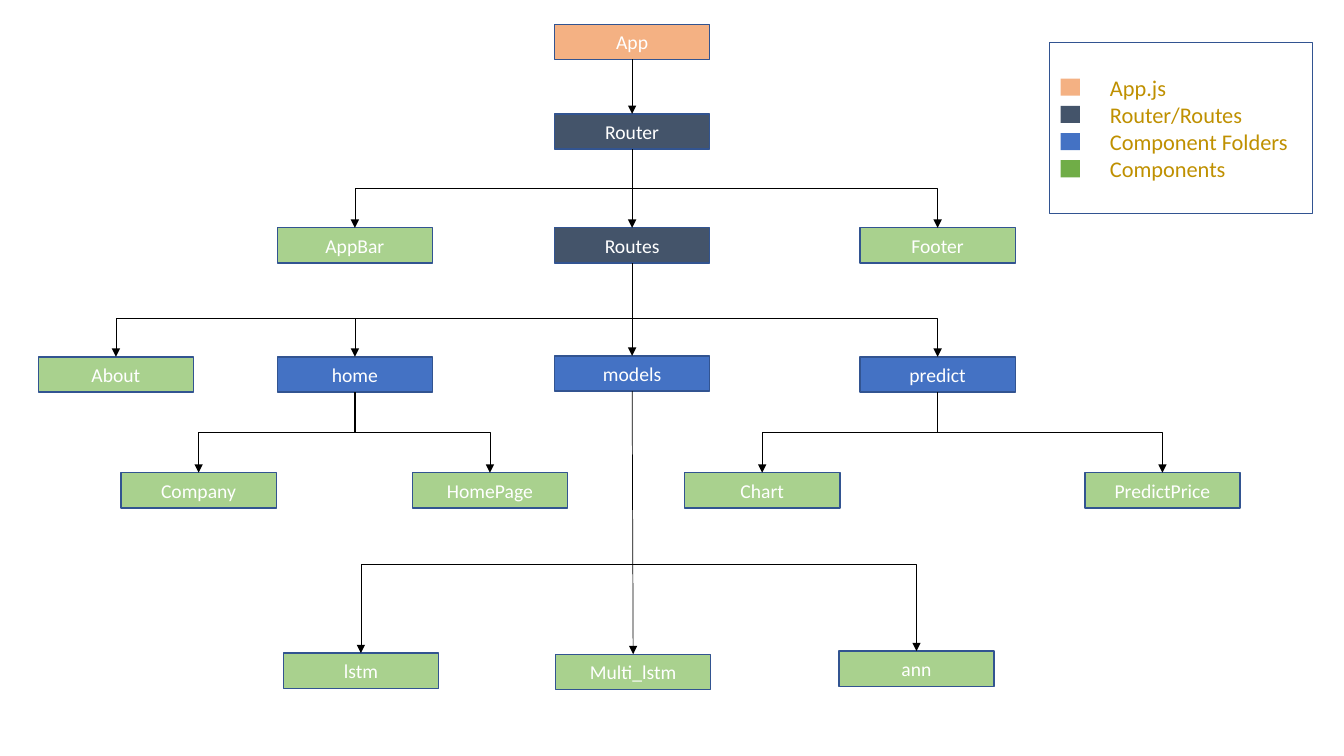
from lxml import etree
from pptx import Presentation
from pptx.dml.color import RGBColor
from pptx.enum.shapes import MSO_CONNECTOR, MSO_SHAPE
from pptx.enum.text import MSO_ANCHOR, PP_ALIGN
from pptx.oxml.ns import qn
from pptx.util import Inches, Pt

RECTANGLE = MSO_SHAPE.RECTANGLE
STRAIGHT = MSO_CONNECTOR.STRAIGHT
ELBOW = MSO_CONNECTOR.ELBOW
MIDDLE = MSO_ANCHOR.MIDDLE
CENTER = PP_ALIGN.CENTER
LEFT = PP_ALIGN.LEFT

FONT = "Calibri"
BORDER = "325491"
APP, ROUTING, FOLDER, COMPONENT = "F4B183", "44546A", "4472C4", "A9D18E"
NODE_WIDTH, NODE_HEIGHT = 1.54, 0.35
TRUNK_X, BRANCH_X = 6.27, 6.34

NODES = {
    "App": (5.5, 0.24, APP),
    "Router": (5.5, 1.13, ROUTING),
    "AppBar": (2.75, 2.26, COMPONENT),
    "Footer": (8.53, 2.26, COMPONENT),
    "Routes": (5.5, 2.26, ROUTING),
    "home": (2.75, 3.54, FOLDER),
    "Company": (1.2, 4.69, COMPONENT),
    "predict": (8.53, 3.54, FOLDER),
    "HomePage": (4.09, 4.69, COMPONENT),
    "About": (0.38, 3.54, COMPONENT),
    "lstm": (2.81, 6.48, COMPONENT),
    "Chart": (6.79, 4.69, COMPONENT),
    "PredictPrice": (10.76, 4.69, COMPONENT),
    "models": (5.5, 3.53, FOLDER),
    "Multi_lstm": (5.51, 6.49, COMPONENT),
    "ann": (8.32, 6.46, COMPONENT),
}
TRUNK = [("App", "Router"), ("Router", "Routes"), ("Routes", "models"),
         ("models", "Multi_lstm")]
BRANCHES = {5.6: ["ann", "lstm"], 1.87: ["Footer", "AppBar"],
            3.16: ["predict", "home", "About"]}
FOLDER_CONTENTS = {"predict": ["Chart", "PredictPrice"],
                   "home": ["Company", "HomePage"]}
LEGEND = [("App.js", APP), ("Router/Routes", ROUTING),
          ("Component Folders", FOLDER), ("Components", "70AD47")]


def color(value):
    return RGBColor.from_string(value)


def add_box(slide, left, top, width, height, fill=None, border=None):
    box = slide.shapes.add_shape(RECTANGLE, Inches(left), Inches(top),
                                 Inches(width), Inches(height))
    box.shadow.inherit = False
    if fill:
        box.fill.solid()
        box.fill.fore_color.rgb = color(fill)
    else:
        box.fill.background()
    if border:
        box.line.color.rgb = color(border)
        box.line.width = Pt(1)
    else:
        box.line.fill.background()
    return box


def write(box, lines, size, ink, align, indent=0):
    frame = box.text_frame
    frame.word_wrap = True
    frame.vertical_anchor = MIDDLE
    for number, line in enumerate(lines):
        paragraph = frame.add_paragraph() if number else frame.paragraphs[0]
        paragraph.text = line
        paragraph.alignment = align
        paragraph.font.name = FONT
        paragraph.font.size = Pt(size)
        paragraph.font.color.rgb = color(ink)
        if indent:
            paragraph.level = 1
            properties = paragraph._p.get_or_add_pPr()
            properties.set("marL", str(Inches(indent)))
            properties.set("indent", "0")


def add_arrow(slide, kind, start, end):
    arrow = slide.shapes.add_connector(kind, *map(Inches, start + end))
    arrow.line.color.rgb = color("000000")
    arrow.line.width = Pt(0.5)
    outline = arrow.line._get_or_add_ln()
    etree.SubElement(outline, qn("a:tailEnd"), type="triangle")
    etree.SubElement(arrow._element.spPr, qn("a:effectLst"))
    return arrow


def add_branch(slide, start, end):
    arrow = add_arrow(slide, ELBOW, start, end)
    arrow._element.spPr.find(qn("a:prstGeom")).set("prst", "bentConnector2")


def add_fork(slide, start, end):
    center_x, center_y = (start[0] + end[0]) / 2, (start[1] + end[1]) / 2
    half_drop, half_span = (end[1] - start[1]) / 2, abs(end[0] - start[0]) / 2
    side, degrees = (1, 270) if end[0] > start[0] else (-1, 90)
    arrow = add_arrow(slide, ELBOW,
                      (center_x + side * half_drop, center_y - half_span),
                      (center_x - side * half_drop, center_y + half_span))
    arrow._element.spPr.find(qn("a:xfrm")).set("rot", str(degrees * 60000))


def top_of(name):
    left, top, _ = NODES[name]
    return left + NODE_WIDTH / 2, top


def bottom_of(name):
    x, top = top_of(name)
    return x, top + NODE_HEIGHT


def add_legend(slide):
    panel = add_box(slide, 10.41, 0.42, 2.61, 1.7, border=BORDER)
    write(panel, [label for label, _ in LEGEND], 16, "BF9000", LEFT, 0.5)
    for row, (_, fill) in enumerate(LEGEND):
        add_box(slide, 10.52, 0.78 + row * 0.27, 0.19, 0.17, fill)


def main():
    deck = Presentation()
    deck.slide_width, deck.slide_height = Inches(13.33), Inches(7.5)
    slide = deck.slides.add_slide(deck.slide_layouts[6])
    for name, (left, top, fill) in NODES.items():
        node = add_box(slide, left, top, NODE_WIDTH, NODE_HEIGHT, fill, BORDER)
        write(node, [name], 14, "FFFFFF", CENTER)
    for parent, child in TRUNK:
        add_arrow(slide, STRAIGHT, bottom_of(parent), top_of(child))
    for height, children in BRANCHES.items():
        for child in children:
            add_branch(slide, (BRANCH_X, height), top_of(child))
    for folder, children in FOLDER_CONTENTS.items():
        for child in children:
            add_fork(slide, bottom_of(folder), top_of(child))
    add_legend(slide)
    deck.save("out.pptx")


if __name__ == "__main__":
    main()
